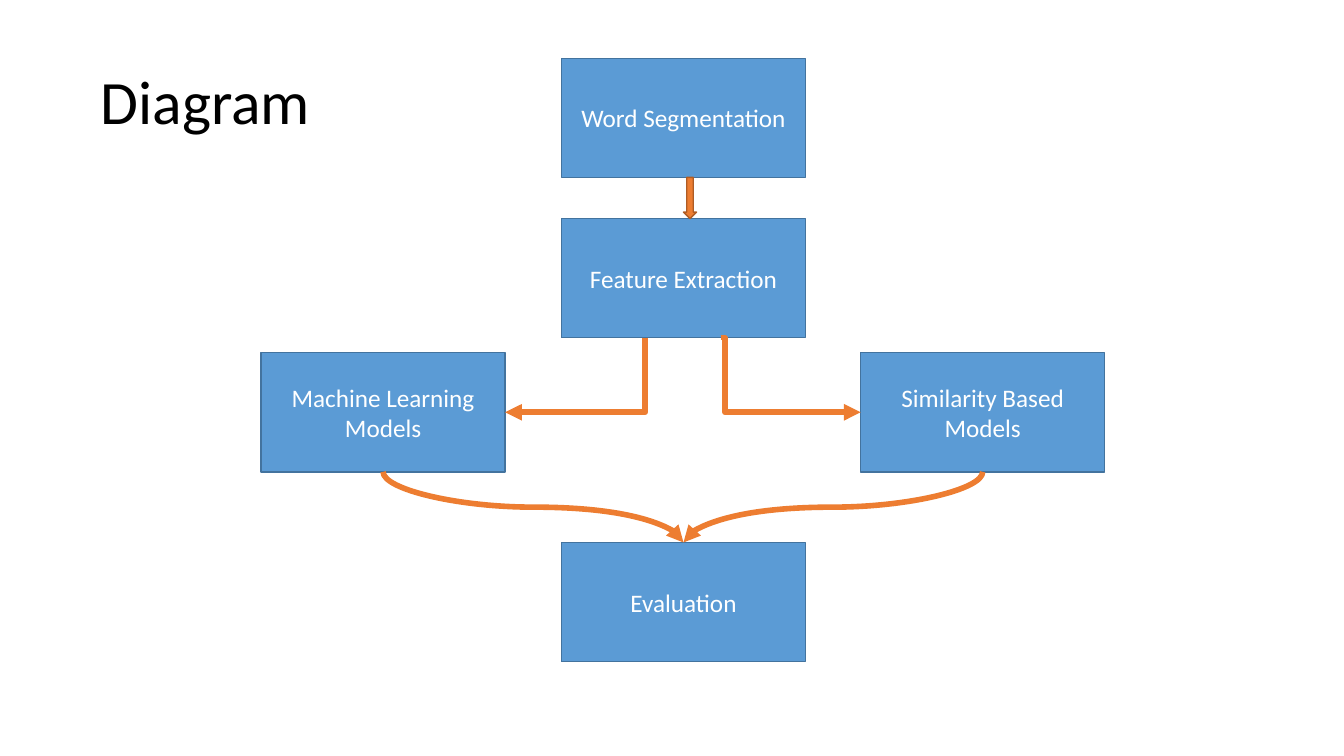
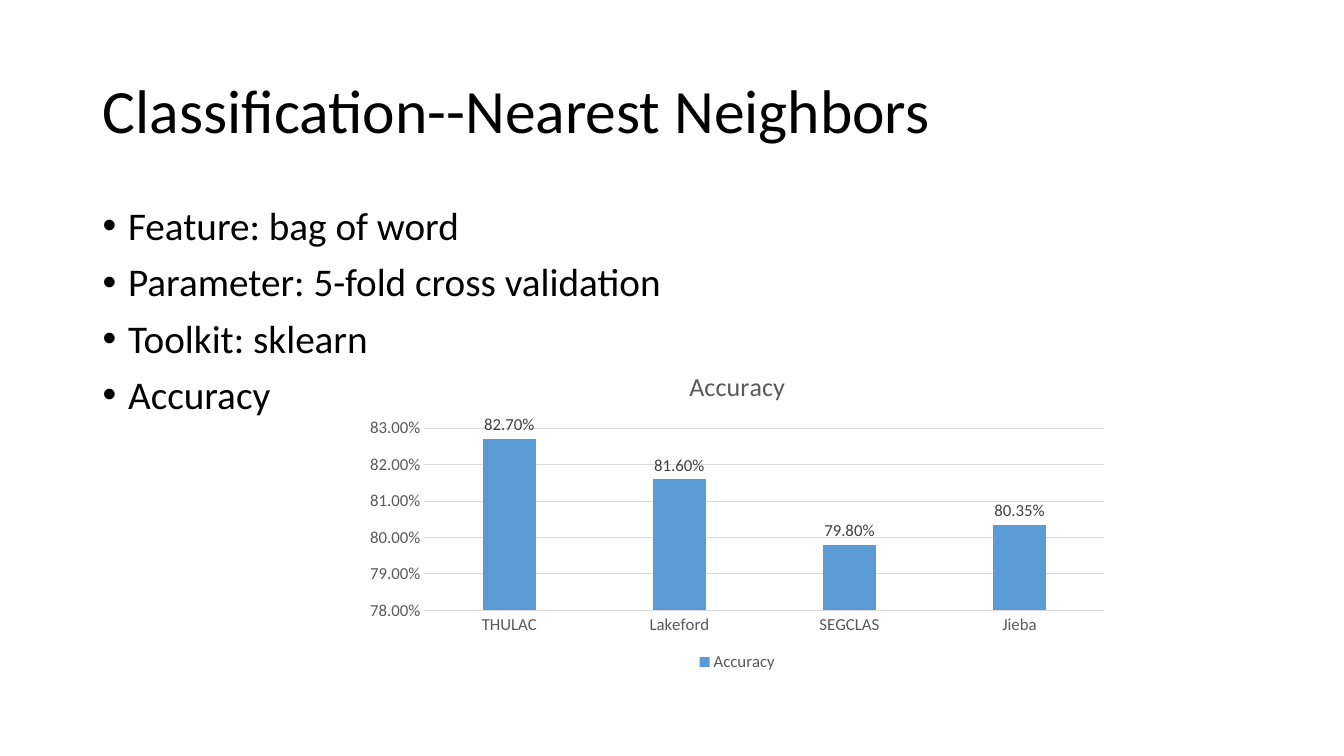
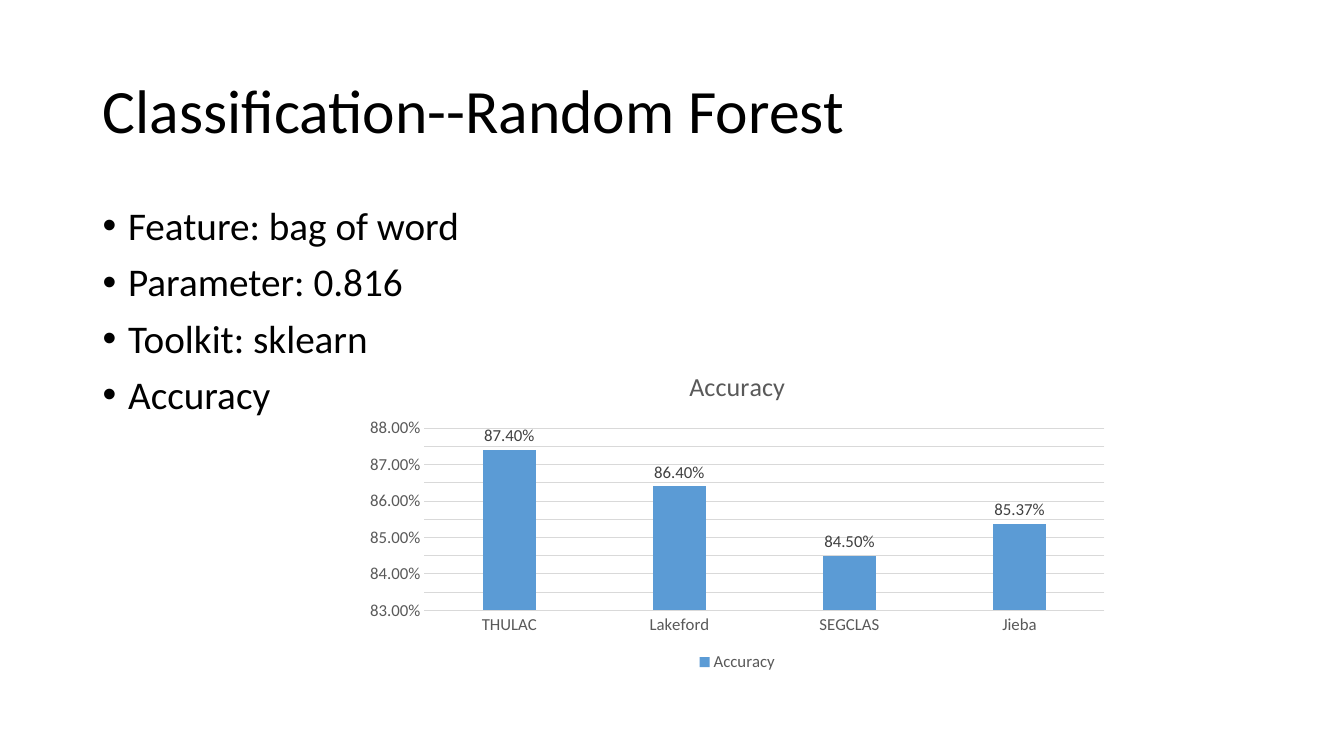
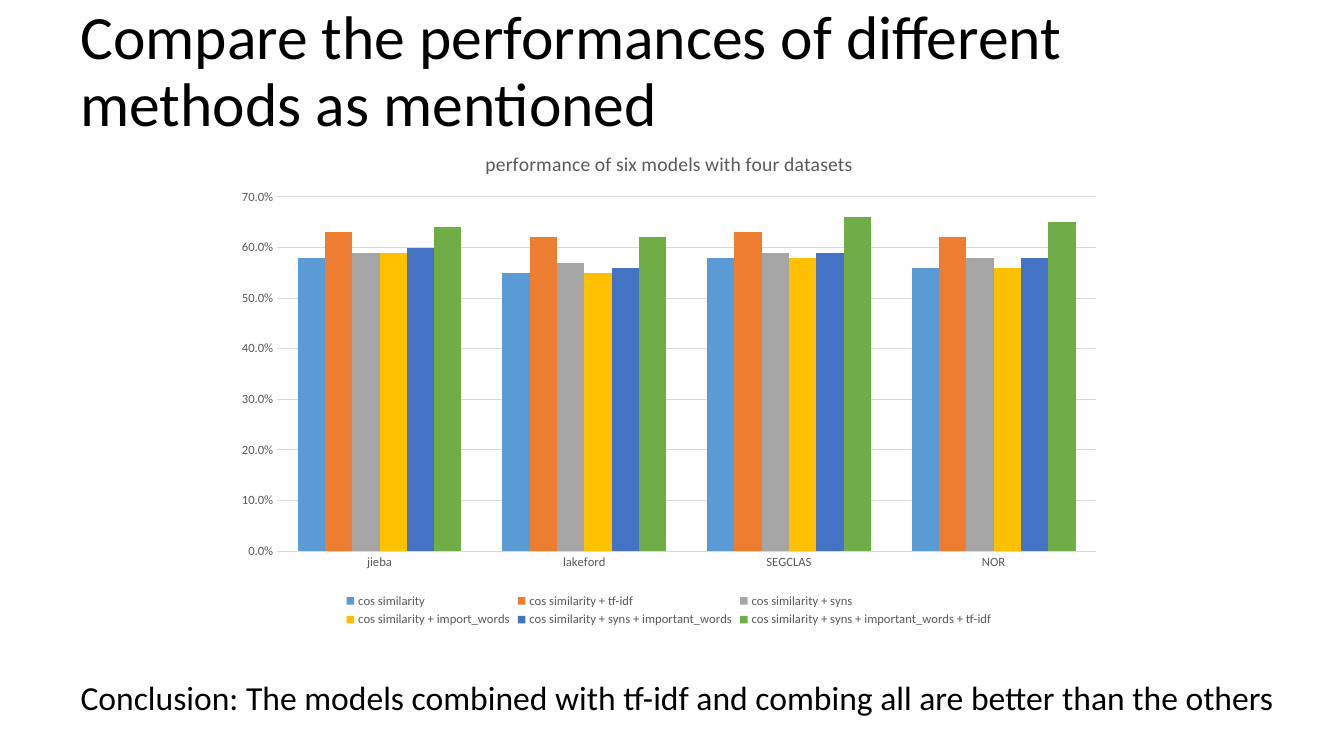
from dataclasses import dataclass
from typing import NamedTuple

from lxml.etree import SubElement
from pptx import Presentation
from pptx.chart.chart import Chart
from pptx.chart.data import CategoryChartData
from pptx.dml.color import RGBColor
from pptx.enum.chart import XL_CHART_TYPE as ChartType
from pptx.enum.chart import XL_LABEL_POSITION as LabelPosition
from pptx.enum.chart import XL_LEGEND_POSITION as LegendPosition
from pptx.enum.chart import XL_TICK_MARK as TickMark
from pptx.enum.shapes import MSO_CONNECTOR as ConnectorType
from pptx.enum.shapes import MSO_SHAPE as ShapeType
from pptx.enum.text import MSO_ANCHOR as Anchor
from pptx.enum.text import MSO_AUTO_SIZE as AutoSize
from pptx.enum.text import PP_ALIGN as Align
from pptx.oxml.ns import qn
from pptx.oxml.xmlchemy import OxmlElement
from pptx.shapes.autoshape import Shape
from pptx.shapes.connector import Connector
from pptx.shapes.shapetree import GroupShapes
from pptx.slide import Slide
from pptx.text.text import Font, TextFrame
from pptx.util import Cm, Pt


# Theme
@dataclass(frozen=True)
class Theme:
    font: str = "Calibri"
    black: str = "000000"
    white: str = "FFFFFF"
    blue: str = "5B9BD5"
    blue_edge: str = "43739E"
    orange: str = "ED7D31"
    orange_edge: str = "AF5C24"
    chart_text: str = "595959"
    label_text: str = "404040"
    grid: str = "D9D9D9"
    series: tuple[str, ...] = ("5B9BD5", "ED7D31", "A5A5A5", "FFC000", "4472C4", "70AD47")
    title_size: float = 44
    body_size: float = 28
    conclusion_size: float = 24
    box_size: float = 18
    edge_width: float = 1
    arrow_width: float = 4
    grid_width: float = 0.75


THEME = Theme()


class Area(NamedTuple):
    """Left, top, width and height in centimetres."""
    left: float
    top: float
    width: float
    height: float

    def lengths(self) -> tuple[Cm, ...]:
        return tuple(Cm(value) for value in self)

    @property
    def center(self) -> float:
        return self.left + self.width / 2

    @property
    def middle(self) -> float:
        return self.top + self.height / 2

    @property
    def right(self) -> float:
        return self.left + self.width

    @property
    def bottom(self) -> float:
        return self.top + self.height


class Point(NamedTuple):
    x: float
    y: float


class Spot(NamedTuple):
    """Manual place inside a chart, as fractions of it."""
    x: float
    y: float
    w: float | None = None
    h: float | None = None


@dataclass(frozen=True)
class ColumnChart:
    area: Area
    title: str
    categories: tuple[str, ...]
    series: dict[str, tuple[float, ...]]
    scale: tuple[float, float, float]
    number_format: str
    title_size: float
    text_size: float
    gap: int
    overlap: int = 0
    labels: bool = False
    axis_line: bool = False
    title_spot: Spot | None = None
    plot_spot: Spot | None = None


@dataclass(frozen=True)
class Classifier:
    name: str
    parameter: str
    accuracy: tuple[float, ...]
    scale: tuple[float, float, float]


# Content
SLIDE_SIZE = (33.87, 19.05)
TITLE_AREA = Area(2.34, 1.02, 29.21, 3.68)
BODY_AREA = Area(2.34, 5.08, 29.21, 12.09)
ACCURACY_AREA = Area(8.94, 8.86, 19.28, 8.18)
SEGMENTERS = ("THULAC", "Lakeford", "SEGCLAS", "Jieba")
CLASSIFIERS = (
    Classifier("Nearest Neighbors", "5-fold cross validation",
               (0.827, 0.816, 0.798, 0.8035), (0.78, 0.83, 0.01)),
    Classifier("Random Forest", "0.816",
               (0.874, 0.864, 0.845, 0.8537), (0.83, 0.88, 0.005)),
)
COMPARISON = ColumnChart(
    area=Area(5.64, 3.33, 22.43, 12.57),
    title="performance of six models with four datasets",
    categories=("jieba", "lakeford", "SEGCLAS", "NOR"),
    series={
        "cos similarity": (0.58, 0.55, 0.58, 0.56),
        "cos similarity + tf-idf": (0.63, 0.62, 0.63, 0.62),
        "cos similarity + syns": (0.59, 0.57, 0.59, 0.58),
        "cos similarity + import_words": (0.59, 0.55, 0.58, 0.56),
        "cos similarity + syns + important_words": (0.6, 0.56, 0.59, 0.58),
        "cos similarity + syns + important_words + tf-idf": (0.64, 0.62, 0.66, 0.65),
    },
    scale=(0, 0.7, 0.1), number_format="0.0%", title_size=14, text_size=9, gap=150,
    title_spot=Spot(0.29, 0.03), plot_spot=Spot(0.06, 0.13, 0.92, 0.71),
)


# Text
def style_font(font: Font, size: float, color: str) -> None:
    font.name = THEME.font
    font.size = Pt(size)
    font.bold = False
    font.color.rgb = RGBColor.from_string(color)


def write_lines(frame: TextFrame, lines: tuple[str, ...], size: float,
                color: str = THEME.black, align: Align | None = None,
                spacing: float | None = None, bullets: bool = False) -> None:
    for index, line in enumerate(lines):
        paragraph = frame.add_paragraph() if index else frame.paragraphs[0]
        paragraph.alignment = align
        paragraph.line_spacing = spacing
        if bullets:
            paragraph.space_before = Pt(10)
            properties = paragraph._p.get_or_add_pPr()
            properties.set("marL", str(Cm(0.64)))
            properties.set("indent", str(-Cm(0.64)))
            SubElement(properties, qn("a:buFont"), typeface="Arial")
            SubElement(properties, qn("a:buChar"), char="•")
        run = paragraph.add_run()
        run.text = line
        style_font(run.font, size, color)


def add_text(slide: Slide, area: Area, *lines: str, size: float, wrap: bool = True,
             anchor: Anchor = Anchor.TOP, spacing: float | None = None,
             bullets: bool = False, grow: bool = False) -> None:
    frame = slide.shapes.add_textbox(*area.lengths()).text_frame
    frame.word_wrap = wrap
    frame.vertical_anchor = anchor
    frame.auto_size = AutoSize.SHAPE_TO_FIT_TEXT if grow else AutoSize.NONE
    write_lines(frame, lines, size, spacing=spacing, bullets=bullets)


def add_title(slide: Slide, text: str, area: Area = TITLE_AREA) -> None:
    add_text(slide, area, text, size=THEME.title_size, anchor=Anchor.MIDDLE, spacing=0.9)


# Shapes and arrows
def add_filled(shapes: GroupShapes, kind: ShapeType, area: Area, fill: str, edge: str) -> Shape:
    shape = shapes.add_shape(kind, *area.lengths())
    shape.shadow.inherit = False
    shape.fill.solid()
    shape.fill.fore_color.rgb = RGBColor.from_string(fill)
    shape.line.color.rgb = RGBColor.from_string(edge)
    shape.line.width = Pt(THEME.edge_width)
    return shape


def add_box(shapes: GroupShapes, area: Area, *lines: str) -> None:
    box = add_filled(shapes, ShapeType.FLOWCHART_PROCESS, area, THEME.blue, THEME.blue_edge)
    box.text_frame.word_wrap = True
    box.text_frame.vertical_anchor = Anchor.MIDDLE
    write_lines(box.text_frame, lines, THEME.box_size, THEME.white, Align.CENTER)


def add_arrow(shapes: GroupShapes, kind: ConnectorType, start: Point, end: Point) -> Connector:
    arrow = shapes.add_connector(kind, *(Cm(value) for value in (*start, *end)))
    arrow.line.color.rgb = RGBColor.from_string(THEME.orange)
    arrow.line.width = Pt(THEME.arrow_width)
    SubElement(arrow.line._get_or_add_ln(), qn("a:tailEnd"), type="triangle")
    SubElement(arrow.element.spPr, qn("a:effectLst"))
    return arrow


def add_downward_arrow(shapes: GroupShapes, kind: ConnectorType,
                       start: Point, end: Point) -> Connector:
    """An arrow that leaves downwards: its frame is turned a quarter about the centre."""
    x, y = (start.x + end.x) / 2, (start.y + end.y) / 2
    half_width, half_height = (end.y - start.y) / 2, abs(end.x - start.x) / 2
    arrow = add_arrow(shapes, kind, Point(x - half_width, y - half_height),
                      Point(x + half_width, y + half_height))
    frame = arrow.element.spPr.find(qn("a:xfrm"))
    rightward = end.x > start.x
    frame.set("rot", str((270 if rightward else 90) * 60000))
    if rightward:
        frame.set("flipH", "1")
    return arrow


# Charts
def place_manually(parent, index: int, spot: Spot) -> None:
    layout = parent.find(qn("c:layout"))
    if layout is None:
        layout = OxmlElement("c:layout")
        parent.insert(index, layout)
    manual = SubElement(layout, qn("c:manualLayout"))
    if spot.w is not None:
        SubElement(manual, qn("c:layoutTarget"), val="inner")
    for mode in ("xMode", "yMode"):
        SubElement(manual, qn(f"c:{mode}"), val="edge")
    for name, value in spot._asdict().items():
        if value is not None:
            SubElement(manual, qn(f"c:{name}"), val=str(value))


def style_axes(chart: Chart, settings: ColumnChart) -> None:
    values, categories = chart.value_axis, chart.category_axis
    for axis in (values, categories):
        axis.major_tick_mark = axis.minor_tick_mark = TickMark.NONE
        style_font(axis.tick_labels.font, settings.text_size, THEME.chart_text)
        axis.format.line.fill.background()
    values.minimum_scale, values.maximum_scale, values.major_unit = settings.scale
    values.tick_labels.number_format = settings.number_format
    values.tick_labels.number_format_is_linked = False
    lines = [values.major_gridlines.format.line]
    if settings.axis_line:
        lines.append(categories.format.line)
    for line in lines:
        line.color.rgb = RGBColor.from_string(THEME.grid)
        line.width = Pt(THEME.grid_width)


def add_column_chart(slide: Slide, settings: ColumnChart) -> None:
    data = CategoryChartData(number_format=settings.number_format)
    data.categories = settings.categories
    for name, values in settings.series.items():
        data.add_series(name, values)
    chart = slide.shapes.add_chart(
        ChartType.COLUMN_CLUSTERED, *settings.area.lengths(), data).chart
    style_font(chart.font, 10, THEME.black)

    chart.has_title = True
    write_lines(chart.chart_title.text_frame, (settings.title,),
                settings.title_size, THEME.chart_text)
    chart.chart_title.include_in_layout = False
    chart.has_legend = True
    chart.legend.position = LegendPosition.BOTTOM
    chart.legend.include_in_layout = False
    style_font(chart.legend.font, settings.text_size, THEME.chart_text)
    style_axes(chart, settings)

    plot = chart.plots[0]
    plot.vary_by_categories = False
    plot.gap_width, plot.overlap = settings.gap, settings.overlap
    for series, color in zip(plot.series, THEME.series):
        series.format.fill.solid()
        series.format.fill.fore_color.rgb = RGBColor.from_string(color)
        if settings.labels:
            labels = series.data_labels
            labels.show_value = True
            labels.position = LabelPosition.OUTSIDE_END
            labels.number_format = settings.number_format
            labels.number_format_is_linked = False
            style_font(labels.font, settings.text_size, THEME.label_text)

    chart_element = chart.element.find(qn("c:chart"))
    if settings.title_spot:
        place_manually(chart_element.find(qn("c:title")), 1, settings.title_spot)
    if settings.plot_spot:
        place_manually(chart_element.find(qn("c:plotArea")), 0, settings.plot_spot)


# Slides
def build_diagram(slide: Slide) -> None:
    shapes = slide.shapes.add_group_shape().shapes
    box_width, box_height = 6.15, 3
    left, center, right = 6.58, 14.15, 21.69
    segmentation, extraction, learning, similarity, evaluation = (
        Area(x, y, box_width, box_height)
        for x, y in ((center, 1.47), (center, 5.51), (left, 8.89), (right, 8.89),
                     (center, 13.67)))
    add_box(shapes, segmentation, "Word Segmentation")
    add_box(shapes, extraction, "Feature Extraction")
    add_box(shapes, learning, "Machine Learning", "Models")
    add_box(shapes, similarity, "Similarity Based Models")
    add_box(shapes, evaluation, "Evaluation")

    block_arrow = Area(segmentation.center, segmentation.bottom, 0.33,
                       extraction.top - segmentation.bottom)
    add_filled(shapes, ShapeType.DOWN_ARROW, block_arrow, THEME.orange, THEME.orange_edge)

    to_learning = add_downward_arrow(
        shapes, ConnectorType.ELBOW, Point(16.26, extraction.bottom),
        Point(learning.right, learning.middle))
    to_learning.element.spPr.find(qn("a:prstGeom")).set("prst", "bentConnector2")
    to_similarity = add_arrow(
        shapes, ConnectorType.ELBOW, Point(18.16, extraction.bottom),
        Point(similarity.left, similarity.middle))
    adjustments = to_similarity.element.spPr.find(qn("a:prstGeom")).get_or_add_avLst()
    SubElement(adjustments, qn("a:gd"), name="adj1", fmla="val 3200")
    for model in (learning, similarity):
        add_downward_arrow(shapes, ConnectorType.CURVE, Point(model.center, model.bottom),
                           Point(evaluation.center, evaluation.top))

    add_text(slide, Area(2.29, 1.47, 5.84, 2.13), "Diagram", size=THEME.title_size,
             wrap=False, grow=True)


def build_classifier(slide: Slide, classifier: Classifier) -> None:
    add_title(slide, f"Classification--{classifier.name}")
    add_text(slide, BODY_AREA, "Feature: bag of word", f"Parameter: {classifier.parameter}",
             "Toolkit: sklearn", "Accuracy", size=THEME.body_size, spacing=0.9, bullets=True)
    add_column_chart(slide, ColumnChart(
        area=ACCURACY_AREA, title="Accuracy", categories=SEGMENTERS,
        series={"Accuracy": classifier.accuracy}, scale=classifier.scale,
        number_format="0.00%", title_size=18.6, text_size=12, gap=219, overlap=-27,
        labels=True, axis_line=True))


def build_comparison(slide: Slide) -> None:
    add_title(slide, "Compare the performances of different methods as mentioned",
              Area(1.78, 0, 29.21, 3.68))
    add_column_chart(slide, COMPARISON)
    add_text(slide, Area(1.78, 16.94, 31.17, 1.27),
             "Conclusion: The models combined with tf-idf and combing all are better "
             "than the others", size=THEME.conclusion_size, grow=True)


def main() -> None:
    presentation = Presentation()
    presentation.slide_width, presentation.slide_height = (Cm(value) for value in SLIDE_SIZE)
    blank = presentation.slide_layouts[6]
    build_diagram(presentation.slides.add_slide(blank))
    for classifier in CLASSIFIERS:
        build_classifier(presentation.slides.add_slide(blank), classifier)
    build_comparison(presentation.slides.add_slide(blank))
    presentation.save("out.pptx")


if __name__ == "__main__":
    main()
